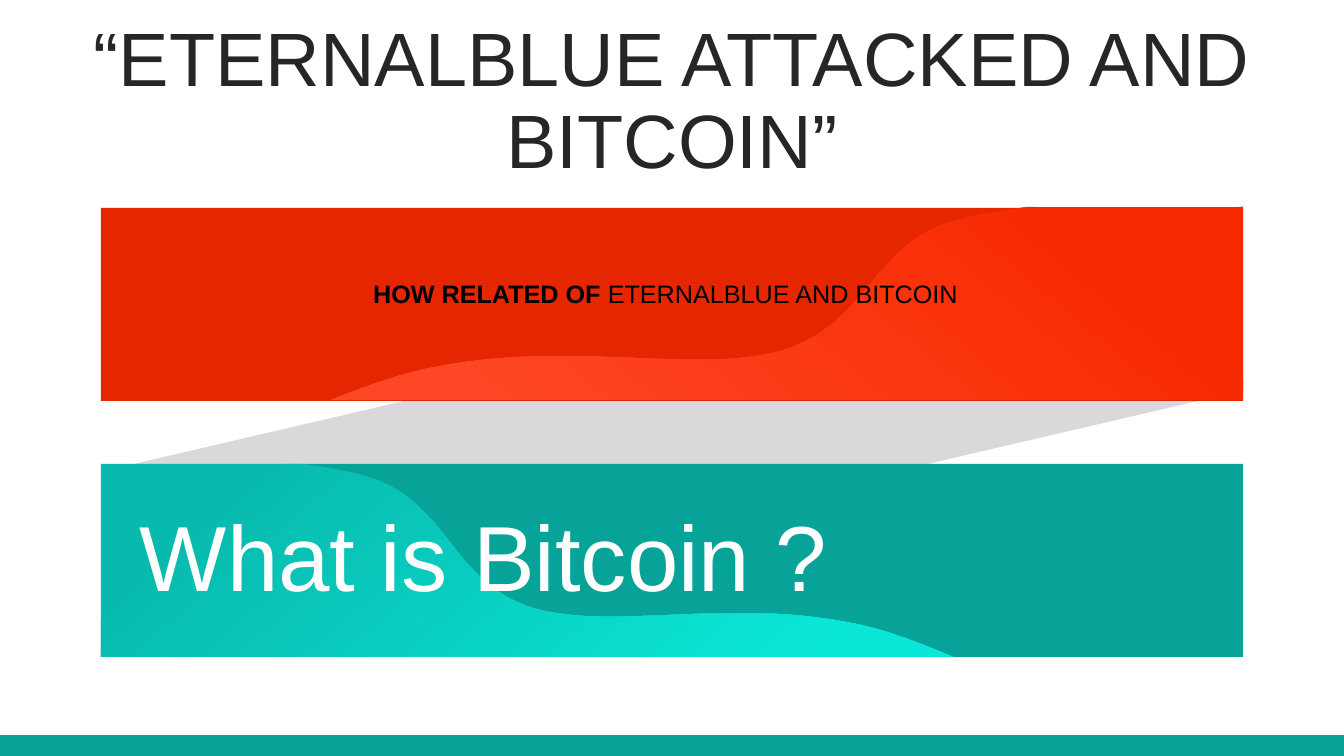
from lxml.etree import SubElement
from pptx import Presentation
from pptx.dml.color import RGBColor
from pptx.enum.shapes import MSO_SHAPE
from pptx.enum.text import MSO_ANCHOR, PP_ALIGN
from pptx.oxml.ns import qn
from pptx.util import Emu, Pt

EMU_PER_PX = 914400 / 100.8

RED, TEAL, GREY = "E62601", "07A398", "D9D9D9"
INK, BLACK, WHITE = "262626", "000000", "FFFFFF"

# Each wave: straight corners, then Bezier segments (two controls and an end).
RED_CORNERS = [(1027, 207), (1243, 207), (1243, 400), (331, 400)]
RED_CURVES = [
    [(371, 384), (409, 371), (441, 366)],
    [(573, 341), (697, 374), (780, 351)],
    [(863, 327), (871, 253), (941, 225)],
    [(963, 217), (995, 211), (1027, 207)],
]
TEAL_CORNERS = [(302, 464), (101, 464), (101, 657), (953, 657)]
TEAL_CURVES = [
    [(915, 641), (880, 628), (851, 623)],
    [(727, 598), (612, 631), (533, 608)],
    [(456, 584), (449, 511), (382, 482)],
    [(363, 474), (334, 468), (302, 464)],
]


def px(length):
    return Emu(round(length * EMU_PER_PX))


def rgb(hex_code):
    return RGBColor.from_string(hex_code)


def add_block(parent, kind, box, color):
    block = parent.shapes.add_shape(kind, *map(px, box))
    block.shadow.inherit = False
    block.fill.solid()
    block.fill.fore_color.rgb = rgb(color)
    block.line.fill.background()
    return block


def bend_segments(wave, straight_count):
    """Merge every three segments after the straight ones into one cubic curve."""
    segments = list(wave._element.iter(qn("a:lnTo")))[straight_count:]
    for first in range(0, len(segments), 3):
        trio = segments[first:first + 3]
        outline = trio[0].getparent()
        curve = SubElement(outline, qn("a:cubicBezTo"))
        trio[0].addprevious(curve)
        for segment in trio:
            curve.append(segment[0])
            outline.remove(segment)


def add_wave(parent, corners, curves, colors, angle):
    """Draw a curved area whose gradient runs counter-clockwise by angle."""
    points = [(px(x), px(y)) for x, y in corners + sum(curves, [])]
    builder = parent.shapes.build_freeform(*points[0])
    builder.add_line_segments(points[1:], close=True)
    wave = builder.convert_to_shape()
    bend_segments(wave, len(corners) - 1)
    wave.shadow.inherit = False
    wave.line.fill.background()
    wave.fill.gradient()
    wave.fill.gradient_angle = angle
    for stop, color, position in zip(wave.fill.gradient_stops, colors, (0.14, 0.88)):
        stop.color.rgb = rgb(color)
        stop.position = position


def add_panel(slide, top, color, corners, curves, wave_colors, angle):
    panel = slide.shapes.add_group_shape()
    add_block(panel, MSO_SHAPE.RECTANGLE, (101, top, 1142, 193), color)
    add_wave(panel, corners, curves, wave_colors, angle)


def add_text(slide, box, parts, size, color, align=PP_ALIGN.LEFT):
    """Write one paragraph from (text, bold) parts."""
    label = slide.shapes.add_textbox(*map(px, box))
    label.text_frame.word_wrap = True
    paragraph = label.text_frame.paragraphs[0]
    paragraph.alignment = align
    for text, bold in parts:
        run = paragraph.add_run()
        run.text = text
        run.font.name = "Arial"
        run.font.size = Pt(size)
        run.font.bold = bold
        run.font.color.rgb = rgb(color)
    return label


def add_title(slide, text):
    title = add_text(slide, (34, 63, 1276, 80), [(text, False)], 54, INK, PP_ALIGN.CENTER)
    title.text_frame.vertical_anchor = MSO_ANCHOR.MIDDLE
    paragraph = title.text_frame.paragraphs[0]
    paragraph.line_spacing = 0.9
    paragraph.space_before = Pt(10)


def add_fold(slide):
    """Add the grey slanted band that joins the two panels."""
    fold = add_block(slide, MSO_SHAPE.PARALLELOGRAM, (447, -140, 451, 1142), GREY)
    fold.adjustments[0] = 0.59
    fold.rotation = 270
    fold._element.spPr.xfrm.set("flipH", "1")


def main():
    deck = Presentation()
    deck.slide_width, deck.slide_height = px(1344), px(756)
    slide = deck.slides.add_slide(deck.slide_layouts[6])

    add_block(slide, MSO_SHAPE.RECTANGLE, (0, 735, 1344, 21), TEAL)
    add_title(slide, "“ETERNALBLUE ATTACKED AND BITCOIN”")
    add_fold(slide)

    add_panel(slide, 208, RED, RED_CORNERS, RED_CURVES, ("F72901", "FE4724"), 230)
    relation = [("HOW RELATED OF ", True), ("ETERNALBLUE AND BITCOIN", False)]
    add_text(slide, (190, 273, 951, 40), relation, 18, BLACK, PP_ALIGN.CENTER)

    add_panel(slide, 464, TEAL, TEAL_CORNERS, TEAL_CURVES, ("08BAAD", "0AE7D8"), 310)
    add_text(slide, (130, 494, 724, 122), [("What is Bitcoin ?", False)], 66, WHITE)

    deck.save("out.pptx")


if __name__ == "__main__":
    main()
